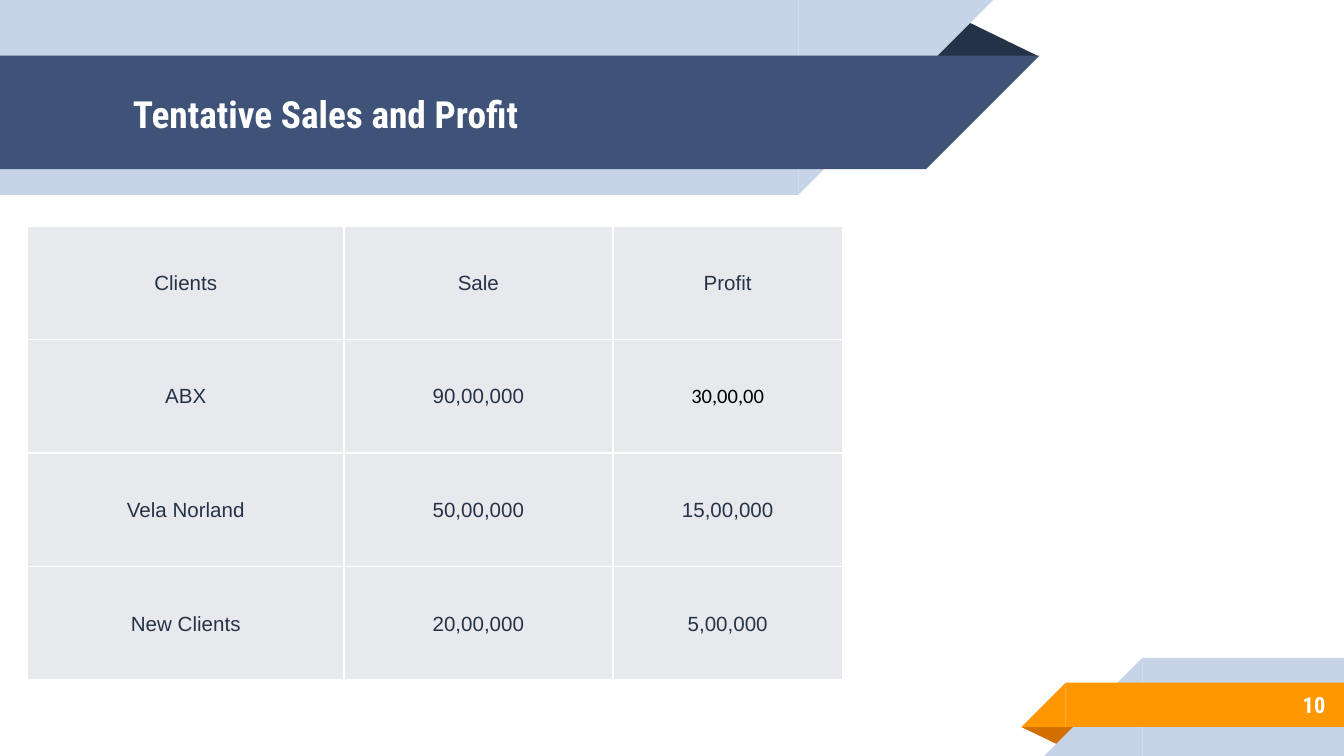
from pptx import Presentation
from pptx.dml.color import RGBColor
from pptx.enum.shapes import MSO_SHAPE as Preset
from pptx.enum.text import MSO_ANCHOR as Anchor, PP_ALIGN as Align
from pptx.oxml import parse_xml
from pptx.oxml.ns import nsdecls, qn
from pptx.util import Inches, Pt

# The slide is a grid of 100 columns by 56.25 rows of square cells
CELL = Inches(0.1)
COLUMNS, ROWS = 100, 56.25

WHITE = RGBColor(0xFF, 0xFF, 0xFF)
BLACK = RGBColor(0x00, 0x00, 0x00)
INK = RGBColor(0x26, 0x32, 0x48)
NAVY = RGBColor(0x3F, 0x53, 0x78)
PALE = RGBColor(0xC7, 0xD3, 0xE6)
ORANGE = RGBColor(0xFF, 0x98, 0x00)
RUST = RGBColor(0xD2, 0x6F, 0x00)
GREY = RGBColor(0xE8, 0xE9, 0xEC)

HEADING_FONT = "Roboto Condensed"
BODY_FONT = "Arial"

CLIENT_ROWS = [
    ("Clients", "Sale", "Profit"),
    ("ABX", "90,00,000", "30,00,00"),
    ("Vela Norland", "50,00,000", "15,00,000"),
    ("New Clients", "20,00,000", "5,00,000"),
]
COLUMN_WIDTHS = (23.55, 20, 17.1)
ROW_HEIGHT = 8.45
ODD_CELL = (1, 2)  # set in another font and colour


def cells(*counts):
    return [round(count * CELL) for count in counts]


def add_block(slide, preset, box, color, flip=None):
    shape = slide.shapes.add_shape(preset, *cells(*box))
    shape.shadow.inherit = False
    shape.fill.solid()
    shape.fill.fore_color.rgb = color
    shape.line.fill.background()
    if flip:
        shape.element.spPr.find(qn("a:xfrm")).set(flip, "1")
    return shape


def add_fold(slide, box, color, rotation=0):
    fold = add_block(slide, Preset.ISOSCELES_TRIANGLE, box, color)
    fold.adjustments[0] = 0.324
    fold.rotation = rotation


def add_left_ribbon(slide, top, width, height, color):
    """Band from the left edge, with a 45 degree cut at its right end."""
    add_block(slide, Preset.RECTANGLE, (0, top, width, height), color)
    add_block(slide, Preset.RIGHT_TRIANGLE, (width, top, height, height),
              color, "flipV")


def add_right_ribbon(slide, left, top, height, color):
    """Band to the right edge, with a 45 degree cut at its left end."""
    add_block(slide, Preset.RECTANGLE, (left, top, COLUMNS - left, height), color)
    add_block(slide, Preset.RIGHT_TRIANGLE, (left - height, top, height, height),
              color, "flipH")


def set_font(paragraph, name, size, color, bold=False):
    font = paragraph.font
    font.name, font.size, font.bold = name, Pt(size), bold
    font.color.rgb = color


def add_label(slide, box, text, size, align):
    frame = slide.shapes.add_textbox(*cells(*box)).text_frame
    frame.word_wrap = True
    frame.vertical_anchor = Anchor.MIDDLE
    frame.margin_left = frame.margin_right = CELL
    frame.margin_top = frame.margin_bottom = CELL
    paragraph = frame.paragraphs[0]
    paragraph.text = text
    paragraph.alignment = align
    set_font(paragraph, HEADING_FONT, size, WHITE, bold=True)


def set_borders(cell):
    properties = cell._tc.get_or_add_tcPr()
    for index, side in enumerate(("lnL", "lnR", "lnT", "lnB")):
        properties.insert(index, parse_xml(
            f'<a:{side} {nsdecls("a")} w="{Pt(1)}"><a:solidFill>'
            f'<a:srgbClr val="{WHITE}"/></a:solidFill></a:{side}>'))


def fill_cell(cell, text, font_name, color):
    cell.fill.solid()
    cell.fill.fore_color.rgb = GREY
    cell.vertical_anchor = Anchor.MIDDLE
    cell.margin_left = cell.margin_right = cell.margin_top = Inches(0.01)
    cell.margin_bottom = 0
    paragraph = cell.text_frame.paragraphs[0]
    paragraph.text = text
    paragraph.alignment = Align.CENTER
    set_font(paragraph, font_name, 11, color)
    set_borders(cell)


def add_client_table(slide, left, top):
    box = cells(left, top, sum(COLUMN_WIDTHS), ROW_HEIGHT * len(CLIENT_ROWS))
    table = slide.shapes.add_table(
        len(CLIENT_ROWS), len(COLUMN_WIDTHS), *box).table
    table.first_row = table.horz_banding = False
    for column, width in zip(table.columns, cells(*COLUMN_WIDTHS)):
        column.width = width
    for row_index, texts in enumerate(CLIENT_ROWS):
        for column_index, text in enumerate(texts):
            odd = (row_index, column_index) == ODD_CELL
            fill_cell(table.cell(row_index, column_index), text,
                      "Calibri" if odd else BODY_FONT, BLACK if odd else INK)


def main():
    presentation = Presentation()
    presentation.slide_width, presentation.slide_height = cells(COLUMNS, ROWS)
    slide = presentation.slides.add_slide(presentation.slide_layouts[6])

    # Title ribbon
    add_fold(slide, (68.8, 1.4, 8.5, 2.8), INK)
    add_left_ribbon(slide, 0, 59.4, 14.5, PALE)
    add_left_ribbon(slide, 4.15, 68.9, 8.45, NAVY)

    # Page number ribbon
    add_fold(slide, (76, 54.1, 4.3, 1.4), RUST, rotation=180)
    add_right_ribbon(slide, 85, 48.95, 7.3, PALE)
    add_right_ribbon(slide, 79.3, 50.8, 3.3, ORANGE)

    # Text
    add_label(slide, (8.9, 4.25, 57.5, 8.4), "Tentative Sales and Profit", 20,
              Align.LEFT)
    add_label(slide, (83.3, 50.7, 16.3, 3.5), "10", 12, Align.RIGHT)

    # Sales and profit by client
    add_client_table(slide, 2.05, 16.8)

    presentation.save("out.pptx")


if __name__ == "__main__":
    main()
